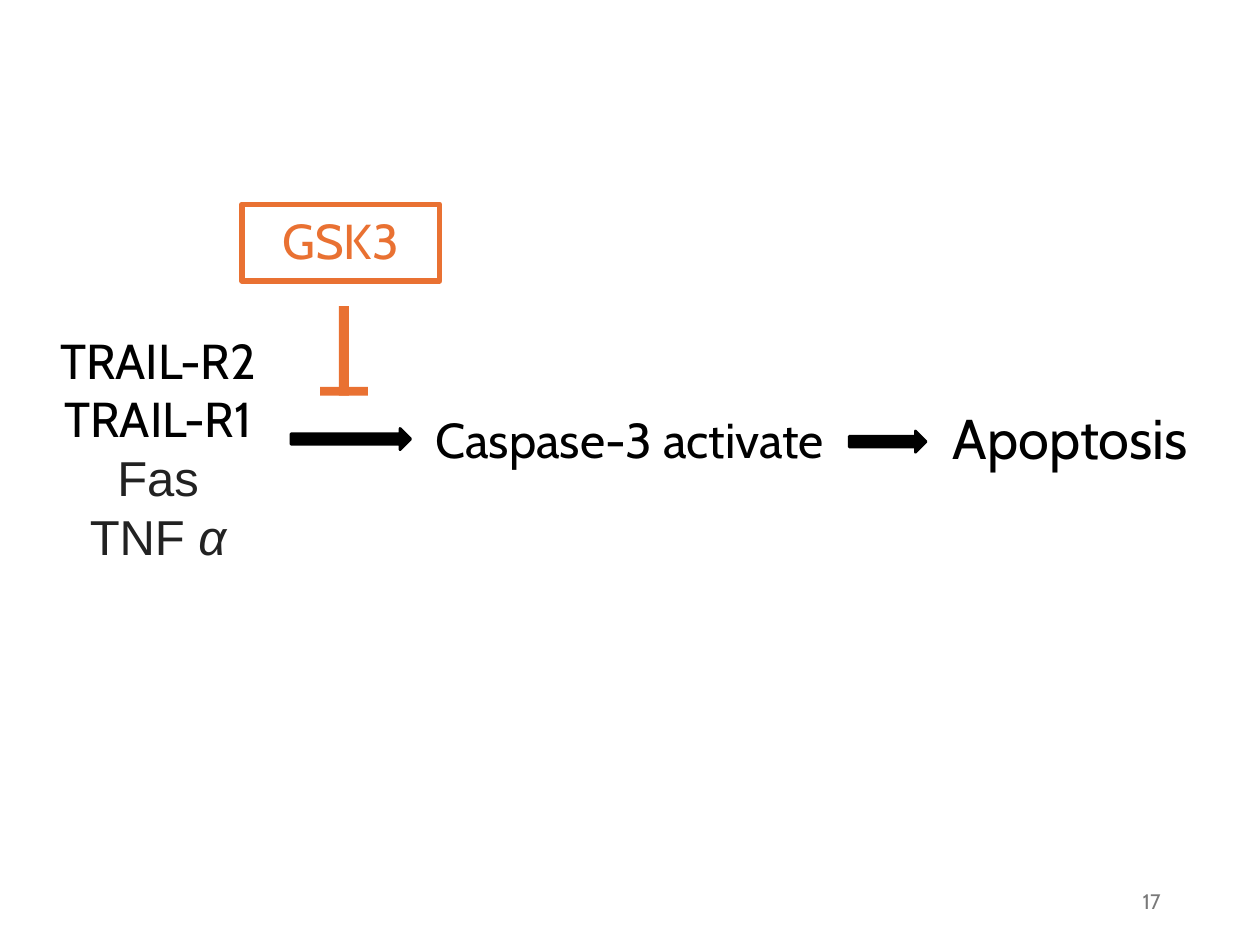
from pptx import Presentation
from pptx.dml.color import RGBColor
from pptx.enum.shapes import MSO_SHAPE
from pptx.enum.text import MSO_ANCHOR, PP_ALIGN
from pptx.util import Inches, Pt

COLORS = {"black": "000000", "dark": "222222", "grey": "797979",
          "orange": "E97132", "white": "FFFFFF"}

prs = Presentation()
prs.slide_width, prs.slide_height = Inches(10), Inches(7.5)
s = prs.slides.add_slide(prs.slide_layouts[6])
COL, ROW = prs.slide_width / 100, prs.slide_height / 75


def grid(col, row, cols, rows):
    return [round(v) for v in (col * COL, row * ROW, cols * COL, rows * ROW)]


def write(sp, lines, size, align=PP_ALIGN.CENTER, anchor=MSO_ANCHOR.TOP):
    tf = sp.text_frame
    tf.word_wrap = True
    tf.vertical_anchor = anchor
    for i, (runs, font, color) in enumerate(lines):
        p = tf.add_paragraph() if i else tf.paragraphs[0]
        p.alignment = align
        for text, italic in runs:
            r = p.add_run()
            r.text = text
            r.font.color.rgb = RGBColor.from_string(COLORS[color])
            for name, value in {"name": font, "size": Pt(size), "italic": italic}.items():
                setattr(r.font, name, value)


labels = [
    ("Apoptosis", (72.3, 31.5, 25.3, 6.1), 32),
    ("Caspase-3 activate", (28.2, 32, 43.5, 6.1), 28),
]
for text, cells, size in labels:
    write(s.shapes.add_textbox(*grid(*cells)), [([(text, False)], "Cabin", "black")], size)

receptors = [
    ([("TRAIL-R2", False)], "Cabin", "black"),
    ([("TRAIL-R1", False)], "Cabin", "black"),
    ([("Fas", False)], "Arial", "dark"),
    ([("TNF ", False), ("α", True)], "Arial", "dark"),
]
write(s.shapes.add_textbox(*grid(2.4, 25.7, 20.3, 28.5)), receptors, 28)

inhibitor = s.shapes.add_group_shape()
shapes = [
    (s, MSO_SHAPE.RECTANGLE, (19.2, 16.2, 15.7, 6.1), "white", "orange", 3, "GSK3"),
    (s, MSO_SHAPE.RIGHT_ARROW, (23.1, 34, 9.5, 1.7), "black", "black", 1.5, ""),
    (s, MSO_SHAPE.RIGHT_ARROW, (67.4, 34.2, 6.1, 1.7), "black", "black", 1.5, ""),
    (inhibitor, MSO_SHAPE.RECTANGLE, (26.9, 24.3, 0.8, 7.1), "orange", None, 0, ""),
    (inhibitor, MSO_SHAPE.RECTANGLE, (25.4, 30.7, 3.8, 0.7), "orange", None, 0, ""),
]
for parent, kind, cells, fill, line, width, text in shapes:
    sp = parent.shapes.add_shape(kind, *grid(*cells))
    sp.shadow.inherit = False
    sp.fill.solid()
    sp.fill.fore_color.rgb = RGBColor.from_string(COLORS[fill])
    if line:
        sp.line.color.rgb = RGBColor.from_string(COLORS[line])
        sp.line.width = Pt(width)
    else:
        sp.line.fill.background()
    if text:
        write(sp, [([(text, False)], "Cabin", "orange")], 28)

write(s.shapes.add_textbox(*grid(70.6, 69.5, 22.5, 4)),
      [([("17", False)], "Cabin", "grey")], 12, PP_ALIGN.RIGHT, MSO_ANCHOR.MIDDLE)

prs.save("out.pptx")
